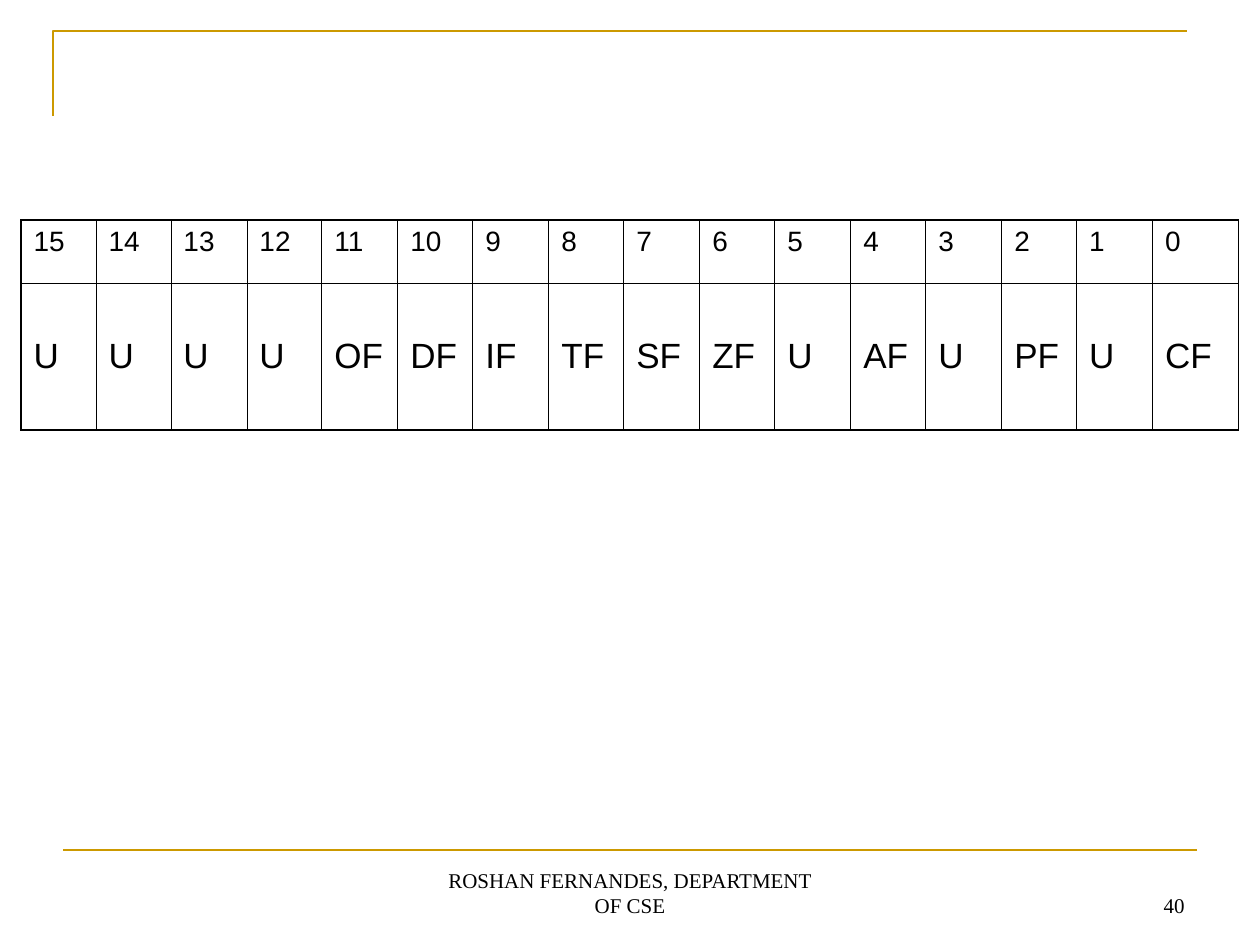
from dataclasses import dataclass

from lxml import etree
from pptx import Presentation
from pptx.dml.color import RGBColor
from pptx.enum.shapes import MSO_CONNECTOR
from pptx.enum.text import MSO_ANCHOR, PP_ALIGN
from pptx.oxml.ns import qn
from pptx.util import Emu, Pt

STRAIGHT = MSO_CONNECTOR.STRAIGHT
TOP, MIDDLE, BOTTOM = MSO_ANCHOR.TOP, MSO_ANCHOR.MIDDLE, MSO_ANCHOR.BOTTOM
CENTER, RIGHT = PP_ALIGN.CENTER, PP_ALIGN.RIGHT

# Content
BITS = [str(bit) for bit in range(15, -1, -1)]
FLAGS = ["U", "U", "U", "U", "OF", "DF", "IF", "TF",
         "SF", "ZF", "U", "AF", "U", "PF", "U", "CF"]
FOOTERS = [  # text, left, width, alignment
    ("ROSHAN FERNANDES, DEPARTMENT OF CSE", 430, 400, CENTER),
    ("40", 903, 294, RIGHT),
]

# Layout in px
SLIDE_SIZE = (1260, 945)
CORNER = [(53, 116), (53, 31), (1187, 31)]
FOOT_RULE = (63, 850, 1197, 850)
FOOTER_TOP, FOOTER_HEIGHT = 861, 63
TABLE_LEFT, TABLE_TOP, TABLE_RIGHT = 21, 220, 1239
ROW_HEIGHTS = (63, 147)
LAST_COLUMN = 86
EMU_PER_PX = 914400 / 126


@dataclass(frozen=True)
class Theme:
    text: str = "000000"
    rule: str = "CC9900"
    table_font: str = "Arial"
    footer_font: str = "Times New Roman"
    bit_size: int = 16
    flag_size: int = 20
    footer_size: int = 12
    rule_width: float = 1.5
    outer_border: float = 1.08
    inner_border: float = 0.45


THEME = Theme()


def px(length):
    return Emu(round(length * EMU_PER_PX))


def style_text(paragraph, font_name, size):
    paragraph.font.name = font_name
    paragraph.font.size = Pt(size)
    paragraph.font.color.rgb = RGBColor.from_string(THEME.text)


def style_rule(rule):
    rule.line.color.rgb = RGBColor.from_string(THEME.rule)
    rule.line.width = Pt(THEME.rule_width)


def add_rules(shapes):
    builder = shapes.build_freeform(*CORNER[0], scale=EMU_PER_PX)
    builder.add_line_segments(CORNER[1:], close=False)
    corner = builder.convert_to_shape()
    corner.shadow.inherit = False
    corner.fill.background()
    style_rule(corner)

    foot_rule = shapes.add_connector(STRAIGHT, *map(px, FOOT_RULE))
    style_rule(foot_rule)
    etree.SubElement(foot_rule._element.spPr, qn("a:effectLst"))


def set_borders(cell, outer_sides):
    """Draw all four sides of a cell, heavier on the table's outer edge."""
    properties = cell._tc.get_or_add_tcPr()
    for side in "LRTB":
        width = THEME.outer_border if side in outer_sides else THEME.inner_border
        border = etree.SubElement(properties, qn(f"a:ln{side}"), w=str(Pt(width)))
        fill = etree.SubElement(border, qn("a:solidFill"))
        etree.SubElement(fill, qn("a:srgbClr"), val=THEME.text)


def add_flag_register(shapes):
    rows = [(BITS, THEME.bit_size, TOP, "T"),
            (FLAGS, THEME.flag_size, MIDDLE, "B")]
    last = len(BITS) - 1
    equal_span = TABLE_RIGHT - LAST_COLUMN - TABLE_LEFT
    edges = [TABLE_LEFT + equal_span * i // last for i in range(last + 1)]
    edges.append(TABLE_RIGHT)

    table = shapes.add_table(
        len(rows), len(BITS), px(TABLE_LEFT), px(TABLE_TOP),
        px(TABLE_RIGHT - TABLE_LEFT), px(sum(ROW_HEIGHTS))).table
    table.first_row = table.horz_banding = False
    for column, left, right in zip(table.columns, edges, edges[1:]):
        column.width = px(right - left)

    for r, (labels, size, anchor, row_side) in enumerate(rows):
        table.rows[r].height = px(ROW_HEIGHTS[r])
        for c, label in enumerate(labels):
            cell = table.cell(r, c)
            cell.text = label
            cell.vertical_anchor = anchor
            style_text(cell.text_frame.paragraphs[0], THEME.table_font, size)
            column_side = {0: "L", last: "R"}.get(c, "")
            set_borders(cell, row_side + column_side)
            cell.fill.background()


def add_footers(shapes):
    for text, left, width, alignment in FOOTERS:
        footer = shapes.add_textbox(px(left), px(FOOTER_TOP),
                                    px(width), px(FOOTER_HEIGHT)).text_frame
        footer.word_wrap = True
        footer.vertical_anchor = BOTTOM
        footer.text = text
        paragraph = footer.paragraphs[0]
        paragraph.alignment = alignment
        style_text(paragraph, THEME.footer_font, THEME.footer_size)


def main():
    deck = Presentation()
    deck.slide_width, deck.slide_height = map(px, SLIDE_SIZE)
    blank_layout = deck.slide_layouts[6]
    shapes = deck.slides.add_slide(blank_layout).shapes
    add_rules(shapes)
    add_flag_register(shapes)
    add_footers(shapes)
    deck.save("out.pptx")


if __name__ == "__main__":
    main()
